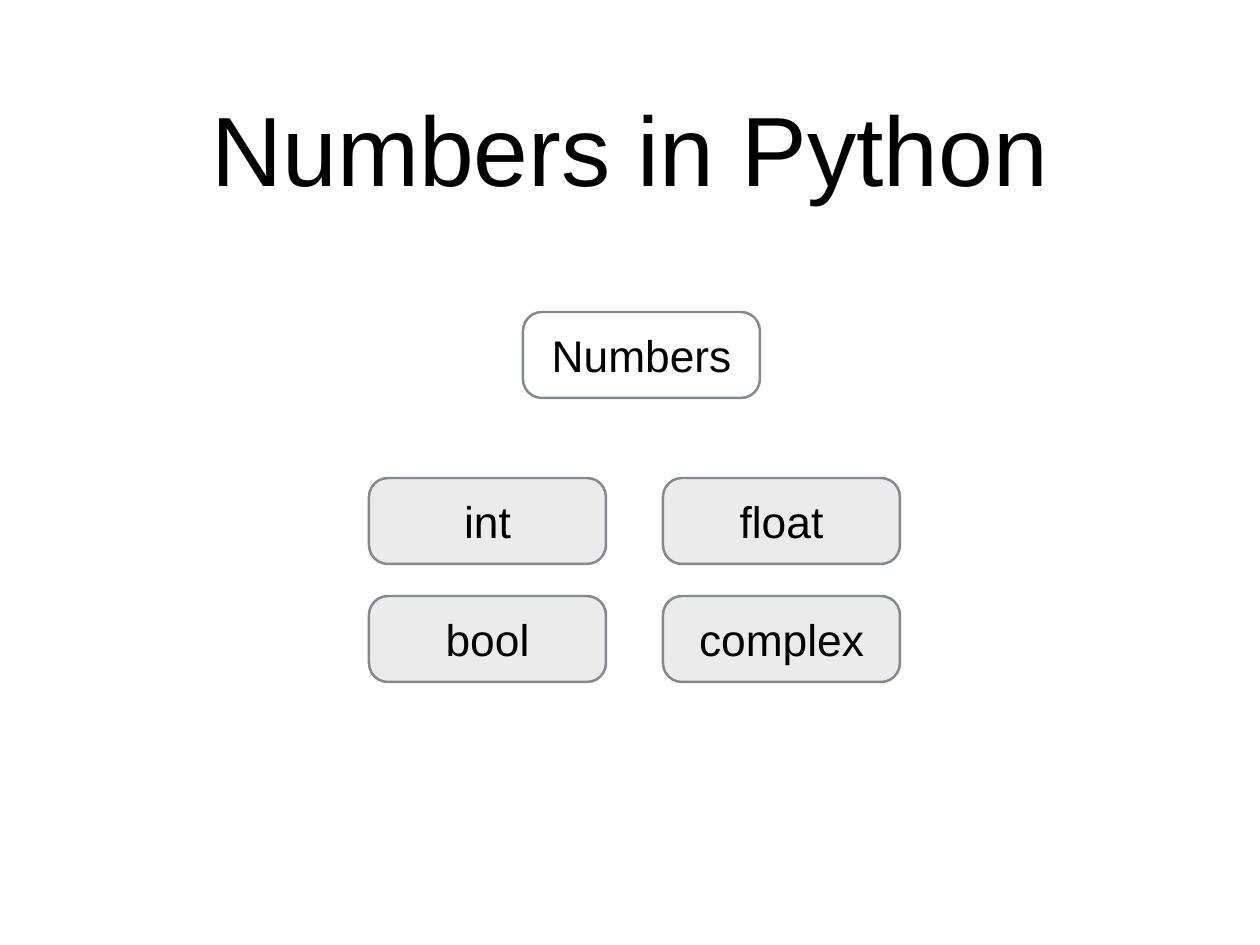
"""Build the slide that shows Python's number types as labelled boxes."""
from dataclasses import dataclass

from pptx import Presentation
from pptx.dml.color import RGBColor
from pptx.enum.shapes import MSO_SHAPE as SHAPE
from pptx.enum.text import MSO_ANCHOR as ANCHOR, MSO_AUTO_SIZE as AUTO, PP_ALIGN as ALIGN
from pptx.util import Emu, Pt

PX_PER_INCH = 88.6
BOX_W, BOX_H = 237, 86
LABEL_H = 63
INSET = 5
COLUMNS = (369, 663)
ROWS = (478, 596)


@dataclass(frozen=True)
class NumberBox:
    text: str
    x: int
    y: int
    label_w: int
    fill: str | None = "EBEBEB"


BOXES = (
    NumberBox("Numbers", 523, 312, 193, fill=None),
    NumberBox("float", COLUMNS[1], ROWS[0], 95),
    NumberBox("int", COLUMNS[0], ROWS[0], 58),
    NumberBox("bool", COLUMNS[0], ROWS[1], 97),
    NumberBox("complex", COLUMNS[1], ROWS[1], 181),
)


def px(n: float) -> Emu:
    return Emu(round(n * 914400 / PX_PER_INCH))


def rgb(value: str) -> RGBColor:
    return RGBColor.from_string(value)


def add_text(s, text: str, x: float, y: float, w: float, h: float, *,
             size: int = 36, color: str = "000000", font: str = "Arial",
             wrap: bool = False) -> None:
    tf = s.shapes.add_textbox(px(x), px(y), px(w), px(h)).text_frame
    tf.word_wrap = wrap
    tf.auto_size = AUTO.NONE if wrap else AUTO.SHAPE_TO_FIT_TEXT
    tf.vertical_anchor = ANCHOR.MIDDLE
    tf.margin_left = tf.margin_right = tf.margin_top = tf.margin_bottom = px(INSET)
    p = tf.paragraphs[0]
    p.alignment = ALIGN.CENTER
    r = p.add_run()
    r.text = text
    r.font.size = Pt(size)
    r.font.name = font
    r.font.color.rgb = rgb(color)


def add_box(s, box: NumberBox) -> None:
    sp = s.shapes.add_shape(SHAPE.ROUNDED_RECTANGLE, px(box.x), px(box.y), px(BOX_W), px(BOX_H))
    sp.adjustments[0] = 0.22
    sp.shadow.inherit = False
    if box.fill:
        sp.fill.solid()
        sp.fill.fore_color.rgb = rgb(box.fill)
    else:
        sp.fill.background()
    sp.line.color.rgb = rgb("85888D")
    sp.line.width = Pt(2)
    add_text(s, box.text, box.x + (BOX_W - box.label_w) / 2,
             box.y + (BOX_H - LABEL_H) / 2, box.label_w, LABEL_H)


def main() -> None:
    prs = Presentation()
    prs.slide_width, prs.slide_height = px(1260), px(945)
    s = prs.slides.add_slide(prs.slide_layouts[6])
    add_text(s, "Numbers in Python", 92, 43, 1076, 209, size=80, wrap=True)
    for box in BOXES:
        add_box(s, box)
    prs.save("out.pptx")


main()
